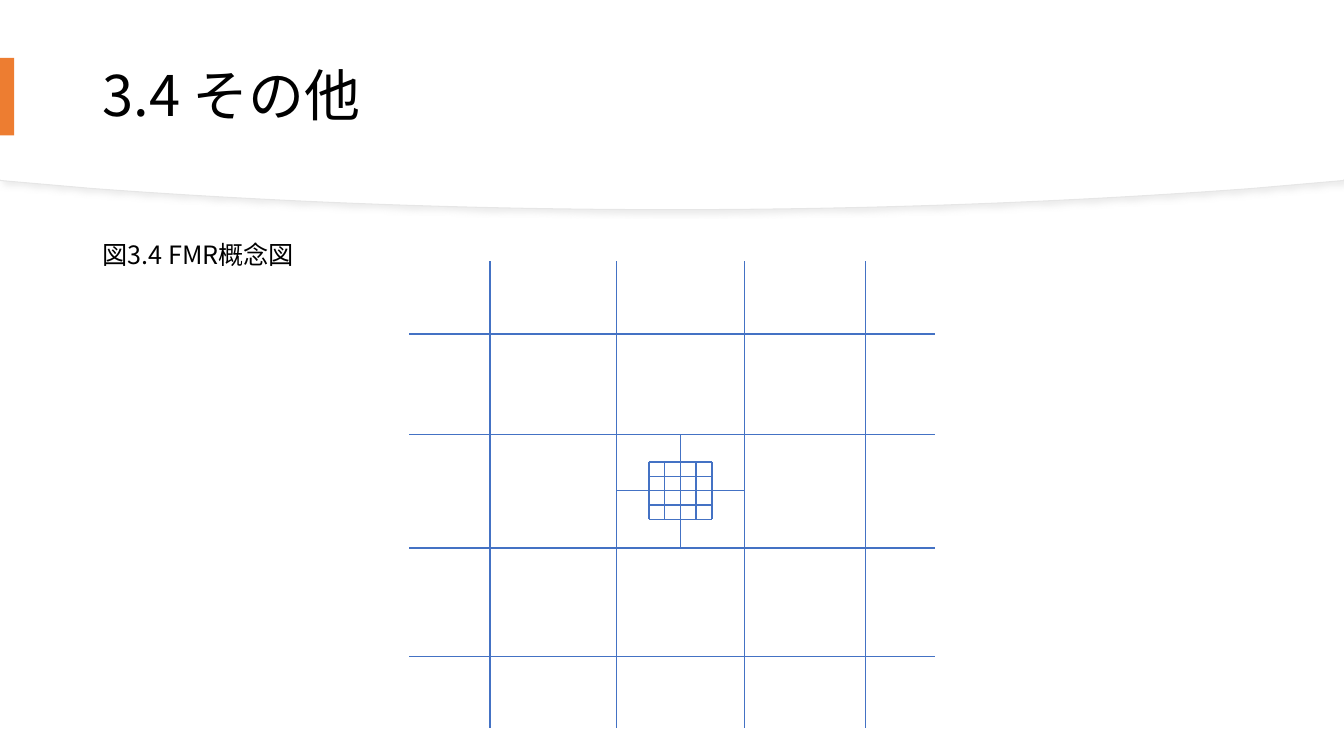
import dataclasses

import lxml.etree
import pptx
import pptx.dml.color
import pptx.enum.shapes
import pptx.enum.text
import pptx.oxml.ns
import pptx.util


@dataclasses.dataclass(frozen=True)
class Theme:
    font: str = "Noto Sans CJK JP"
    ink: str = "000000"
    paper: str = "FFFFFF"
    accent: str = "ED7D31"
    grid: str = "4472C4"
    rim: str = "E6E6E6"
    shade: str = "D9D9D9"
    title_size: int = 40
    caption_size: int = 18
    grid_width: float = 1
    rim_width: float = 0.75


THEME = Theme()
WIDTH = pptx.util.Inches(13.333)
HEIGHT = pptx.util.Inches(7.5)
TITLE_ONLY = 5

OUTER_X = (30.45, 69.55)
OUTER_Y = (34.53, 96.27)
COLUMNS = (36.45, 45.87, 55.38, 64.4)
ROWS = (44.17, 57.47, 72.5, 86.83)
MESH_X = (48.28, 52.97)
MESH_Y = (61.1, 68.7)
MESH_QUARTERS = (0, 1, 3, 4)


def across(percent):
    return round(WIDTH * percent / 100)


def down(percent):
    return round(HEIGHT * percent / 100)


def rgb(code):
    return pptx.dml.color.RGBColor.from_string(code)


def box(left, top, width, height):
    return across(left), down(top), across(width), down(height)


def paint(shape, fill):
    shape.shadow.inherit = False
    shape.fill.solid()
    shape.fill.fore_color.rgb = rgb(fill)
    shape.line.fill.background()


def write(frame, text, size, anchor):
    frame.word_wrap = True
    frame.auto_size = pptx.enum.text.MSO_AUTO_SIZE.NONE
    frame.vertical_anchor = anchor
    paragraph = frame.paragraphs[0]
    paragraph.alignment = pptx.enum.text.PP_ALIGN.LEFT
    paragraph.line_spacing = 0.9
    paragraph.space_before = pptx.util.Pt(0)
    run = paragraph.add_run()
    run.text = text
    run.font.size = pptx.util.Pt(size)
    run.font.name = THEME.font
    run.font.color.rgb = rgb(THEME.ink)
    east_asian = lxml.etree.SubElement(
        run.font._element, pptx.oxml.ns.qn("a:ea"))
    east_asian.set("typeface", THEME.font)


def bend(shape, first):
    qn = pptx.oxml.ns.qn
    segments = list(shape.element.iter(qn("a:lnTo")))[first:first + 3]
    curve = lxml.etree.Element(qn("a:cubicBezTo"))
    segments[0].addprevious(curve)
    for segment in segments:
        curve.append(segment[0])
        segment.getparent().remove(segment)


def add_header_panel(slide, lift):
    right = [(100, 23.87), (93.15, 24.93), (79.88, 26.67), (65.33, 27.73)]
    left = [(100 - x, y) for x, y in reversed(right)]
    outline = [(across(x), down(y - lift))
               for x, y in right + [(50, 27.73)] + left]
    builder = slide.shapes.build_freeform(0, 0)
    builder.add_line_segments([(WIDTH, 0)] + outline, close=True)
    panel = builder.convert_to_shape()
    for first in (6, 3):
        bend(panel, first)
    paint(panel, THEME.paper)
    return panel


def add_rim(panel):
    panel.line.color.rgb = rgb(THEME.rim)
    panel.line.width = pptx.util.Pt(THEME.rim_width)
    qn = pptx.oxml.ns.qn
    effects = panel.element.spPr.find(qn("a:effectLst"))
    shadow = lxml.etree.SubElement(
        effects, qn("a:outerShdw"), blurRad=str(pptx.util.Pt(4)),
        dist=str(pptx.util.Pt(3)), dir=str(45 * 60000), rotWithShape="0")
    tint = lxml.etree.SubElement(shadow, qn("a:srgbClr"), val=THEME.shade)
    lxml.etree.SubElement(tint, qn("a:alpha"), val="50000")


def add_rule(group, start, end):
    rule = group.shapes.add_connector(
        pptx.enum.shapes.MSO_CONNECTOR.STRAIGHT,
        across(start[0]), down(start[1]), across(end[0]), down(end[1]))
    rule.line.color.rgb = rgb(THEME.grid)
    rule.line.width = pptx.util.Pt(THEME.grid_width)
    lxml.etree.SubElement(
        rule.element.spPr, pptx.oxml.ns.qn("a:effectLst"))


def add_lattice(group, columns, rows, x_span, y_span):
    for y in rows:
        add_rule(group, (x_span[0], y), (x_span[1], y))
    for x in columns:
        add_rule(group, (x, y_span[0]), (x, y_span[1]))


def quarters(span, counts):
    start, end = span
    return [start + (end - start) * count / 4 for count in counts]


def add_nested_grid(slide):
    group = slide.shapes.add_group_shape()
    add_lattice(group, COLUMNS, ROWS, OUTER_X, OUTER_Y)
    add_lattice(group, quarters(MESH_X, [2]), quarters(MESH_Y, [2]),
                COLUMNS[1:3], ROWS[1:3])
    add_lattice(group, quarters(MESH_X, MESH_QUARTERS),
                quarters(MESH_Y, MESH_QUARTERS), MESH_X, MESH_Y)


def place_title(slide, text, behind):
    title = slide.shapes.title
    title.left, title.top, title.width, title.height = box(
        6.88, 3.73, 86.25, 18.53)
    write(title.text_frame, text, THEME.title_size,
          pptx.enum.text.MSO_ANCHOR.MIDDLE)
    behind.element.addnext(title.element)


def add_accent(slide):
    accent = slide.shapes.add_shape(
        pptx.enum.shapes.MSO_SHAPE.RECTANGLE, *box(0, 7.65, 1.05, 10.25))
    paint(accent, THEME.accent)


def add_caption(slide, text):
    caption = slide.shapes.add_textbox(*box(6.88, 31.4, 86.25, 64.93))
    write(caption.text_frame, text, THEME.caption_size,
          pptx.enum.text.MSO_ANCHOR.TOP)


def main():
    deck = pptx.Presentation()
    deck.slide_width, deck.slide_height = WIDTH, HEIGHT
    slide = deck.slides.add_slide(deck.slide_layouts[TITLE_ONLY])
    slide.background.fill.solid()
    slide.background.fill.fore_color.rgb = rgb(THEME.paper)
    add_rim(add_header_panel(slide, lift=0))
    header = add_header_panel(slide, lift=0.13)
    place_title(slide, "3.4 その他", header)
    add_accent(slide)
    add_nested_grid(slide)
    add_caption(slide, "図3.4 FMR概念図")
    deck.save("out.pptx")


if __name__ == "__main__":
    main()
